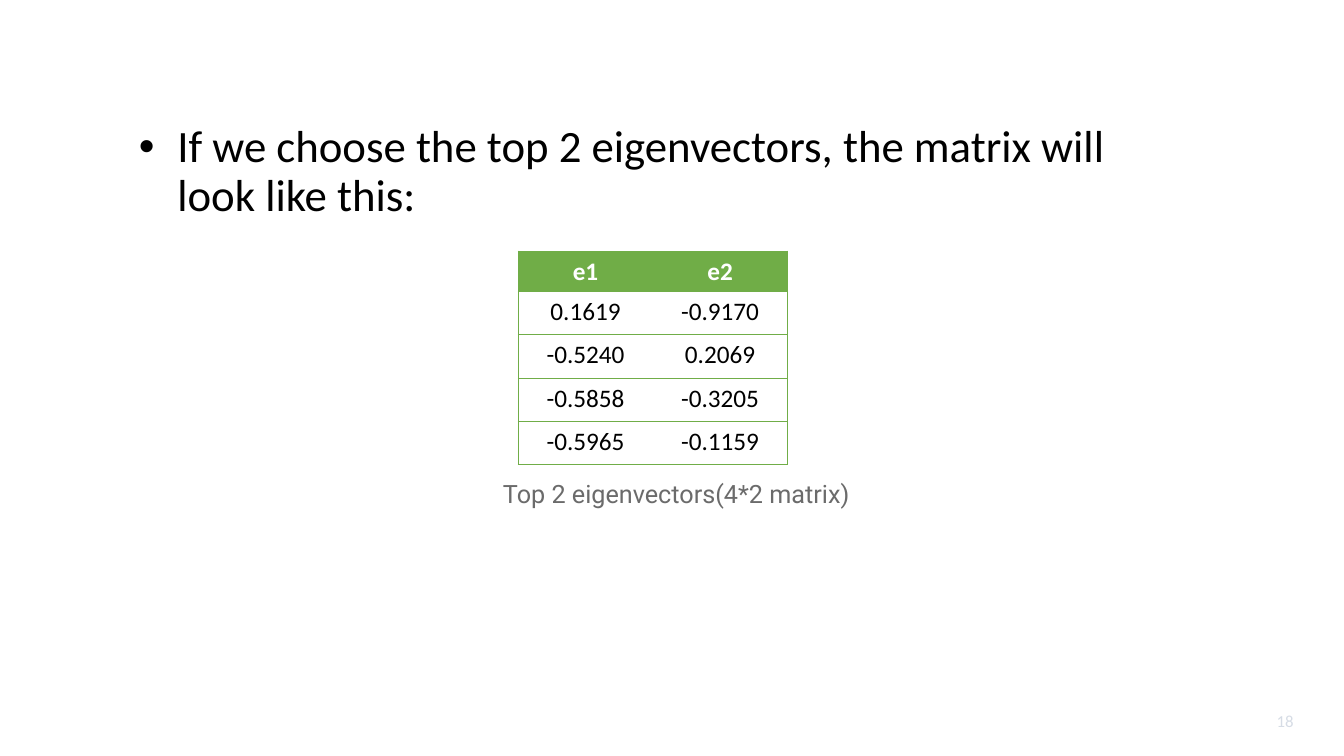
"""Build the slide that shows the matrix of the top two eigenvectors."""
from lxml.etree import SubElement
from pptx import Presentation
from pptx.dml.color import RGBColor
from pptx.enum.text import PP_ALIGN
from pptx.oxml.ns import qn
from pptx.util import Inches, Pt

COLORS = {"ink": "000000", "gray": "6B6B6B", "green": "70AD47",
          "white": "FFFFFF", "pale": "D6DCE5"}


def style(para, name, size, color, bold=False):
    form = {"name": name, "size": Pt(size), "bold": bold}
    for key, value in form.items():
        setattr(para.runs[0].font, key, value)
    para.runs[0].font.color.rgb = RGBColor.from_string(COLORS[color])


def border(cell, side, shown):
    line = SubElement(cell._tc.get_or_add_tcPr(), qn(f"a:ln{side}"), w=str(Pt(0.5)))
    if shown:
        fill = SubElement(line, qn("a:solidFill"))
        SubElement(fill, qn("a:srgbClr"), val=COLORS["green"])
    else:
        SubElement(line, qn("a:noFill"))


deck = Presentation()
deck.slide_width, deck.slide_height = Inches(13.33), Inches(7.5)
slide = deck.slides.add_slide(deck.slide_layouts[6])

texts = [
    ("If we choose the top 2 eigenvectors, the matrix will look like this:",
     (1.28, 1.18, 10.32, 4.68), "Calibri", 32, "ink", PP_ALIGN.LEFT),
    ("Top 2 eigenvectors(4*2 matrix)",
     (4.89, 4.7, 6.67, 0.4), "Roboto", 18, "gray", PP_ALIGN.LEFT),
    ("18", (11.93, 7, 1, 0.3), "Calibri", 12, "pale", PP_ALIGN.RIGHT),
]
paras = []
for text, place, font, size, color, align in texts:
    frame = slide.shapes.add_textbox(*map(Inches, place)).text_frame
    frame.word_wrap = True
    para = frame.paragraphs[0]
    para.text, para.alignment = text, align
    style(para, font, size, color)
    paras.append(para)

lead = paras[0]
lead.line_spacing, lead.space_before = 0.9, Pt(10)
props = lead._p.get_or_add_pPr()
props.set("marL", str(Inches(0.38)))
props.set("indent", str(-Inches(0.38)))
SubElement(props, qn("a:buFont"), typeface="Arial")
SubElement(props, qn("a:buChar"), char="•")

rows = [("e1", "e2"), ("0.1619", "-0.9170"), ("-0.5240", "0.2069"),
        ("-0.5858", "-0.3205"), ("-0.5965", "-0.1159")]
place = map(Inches, (5.14, 2.49, 2.67, 2.11))
table = slide.shapes.add_table(len(rows), 2, *place).table
table.first_row = table.horz_banding = False
for col in table.columns:
    col.width = Inches(1.335)
for i, row in enumerate(rows):
    table.rows[i].height = Inches(0.43 if i else 0.4)
    for j, text in enumerate(row):
        cell = table.cell(i, j)
        for side in "LRTB":
            border(cell, side, side in "TB" or side == "LR"[j])
        if i:
            cell.fill.background()
        else:
            cell.fill.solid()
            cell.fill.fore_color.rgb = RGBColor.from_string(COLORS["green"])
        para = cell.text_frame.paragraphs[0]
        para.text, para.alignment = text, PP_ALIGN.CENTER
        style(para, "Calibri", 18, "ink" if i else "white", not i)

deck.save("out.pptx")
